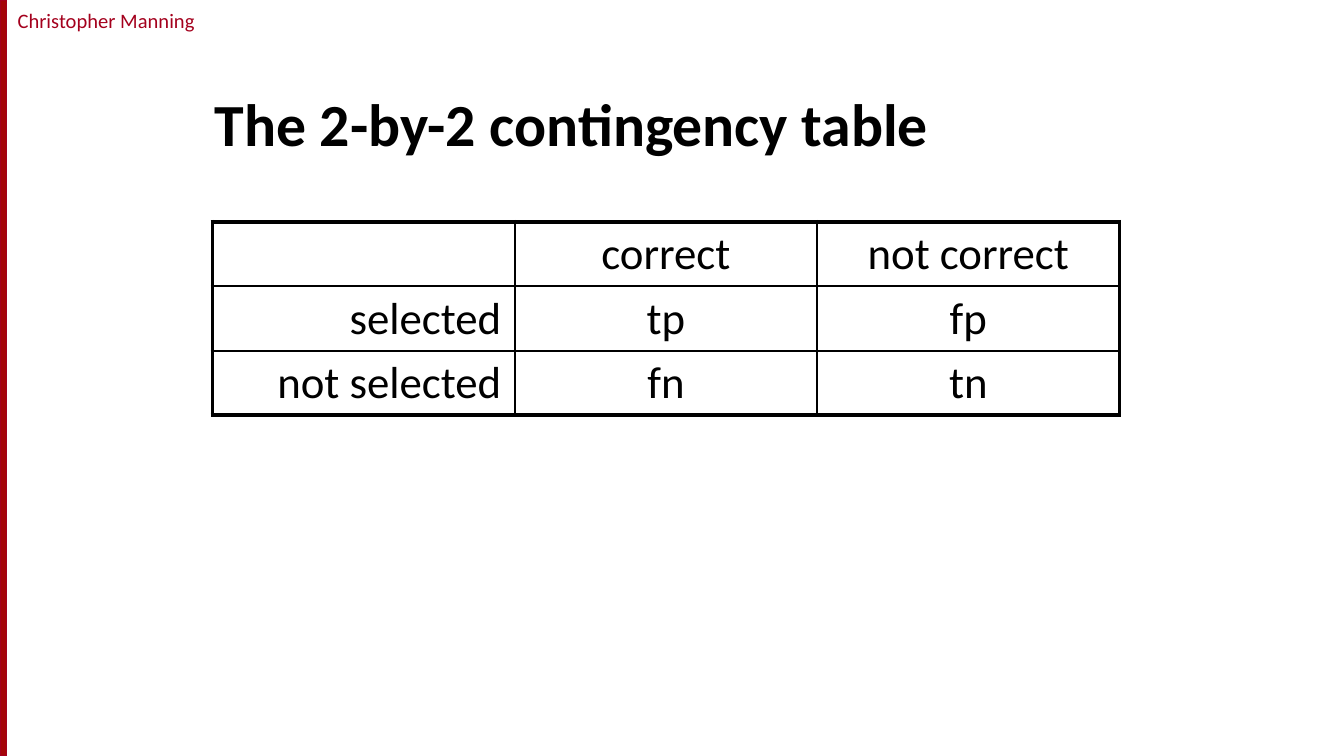
from lxml import etree
from pptx import Presentation
from pptx import util as u
from pptx.dml.color import RGBColor
from pptx.enum import shapes, text
from pptx.oxml import ns

WIDTH = 10
HEIGHT = WIDTH * 9 / 16
CARDINAL, BAR_RED, BLACK = "A4001D", "A40508", "000000"
OUTER, INNER = 2.25, 1
ROWS = [
    ["", "correct", "not correct"],
    ["selected", "tp", "fp"],
    ["not selected", "fn", "tn"],
]


def colour(hex_code):
    return RGBColor.from_string(hex_code)


def inches(box):
    return [u.Inches(length) for length in box]


def write(frame, words, size=24, ink=BLACK, bold=False, align=text.PP_ALIGN.LEFT):
    paragraph = frame.paragraphs[0]
    paragraph.alignment = align
    paragraph.font.size = u.Pt(size)
    if words:
        run = paragraph.add_run()
        run.text = words
        run.font.name = "Calibri"
        run.font.size = u.Pt(size)
        run.font.bold = bold
        run.font.color.rgb = colour(ink)


def border(cell, widths):
    """Draw the left, right, top and bottom lines, in points."""
    properties = cell._tc.get_or_add_tcPr()
    for index, (side, width) in enumerate(zip("LRTB", widths)):
        line = etree.Element(ns.qn(f"a:ln{side}"), w=str(u.Pt(width)))
        fill = etree.SubElement(line, ns.qn("a:solidFill"))
        etree.SubElement(fill, ns.qn("a:srgbClr"), val=BLACK)
        properties.insert(index, line)


def add_side_bar(slide, box):
    bar = slide.shapes.add_shape(shapes.MSO_SHAPE.RECTANGLE, *inches(box))
    bar.shadow.inherit = False
    bar.fill.solid()
    bar.fill.fore_color.rgb = colour(BAR_RED)
    bar.line.color.rgb = colour(CARDINAL)
    bar.line.width = u.Pt(0.75)


def add_author(slide, box):
    frame = slide.shapes.add_textbox(*inches(box)).text_frame
    frame.margin_left = frame.margin_right = 0
    write(frame, "Christopher Manning", size=11, ink=CARDINAL,
          align=text.PP_ALIGN.CENTER)


def add_title(slide, box):
    frame = slide.shapes.add_textbox(*inches(box)).text_frame
    frame.word_wrap = True
    frame.vertical_anchor = text.MSO_ANCHOR.BOTTOM
    write(frame, "The 2-by-2 contingency table", size=32, bold=True)


def add_contingency_table(slide, box):
    last = len(ROWS) - 1
    table = slide.shapes.add_table(len(ROWS), len(ROWS[0]), *inches(box)).table
    table.first_row = table.horz_banding = False
    for r, labels in enumerate(ROWS):
        for c, label in enumerate(labels):
            cell = table.cell(r, c)
            cell.fill.background()
            cell.margin_top = cell.margin_bottom = u.Inches(0.04)
            align = text.PP_ALIGN.CENTER if c else text.PP_ALIGN.RIGHT
            write(cell.text_frame, label, align=align)
            # Heavy frame outside, thin rules inside
            edges = (c == 0, c == last, r == 0, r == last)
            border(cell, [OUTER if edge else INNER for edge in edges])


def main():
    deck = Presentation()
    deck.slide_width, deck.slide_height = inches((WIDTH, HEIGHT))
    slide = deck.slides.add_slide(deck.slide_layouts[6])

    # Page furniture
    add_author(slide, (0.08, 0.01, 1.42, 0.29))
    add_side_bar(slide, (0, 0, 0.05, HEIGHT))

    # Content
    add_title(slide, (0.15 * WIDTH, 0.42, 8.17, 0.81))
    add_contingency_table(slide, (1.58, 1.65, 6.75, 1.44))

    deck.save("out.pptx")


if __name__ == "__main__":
    main()
